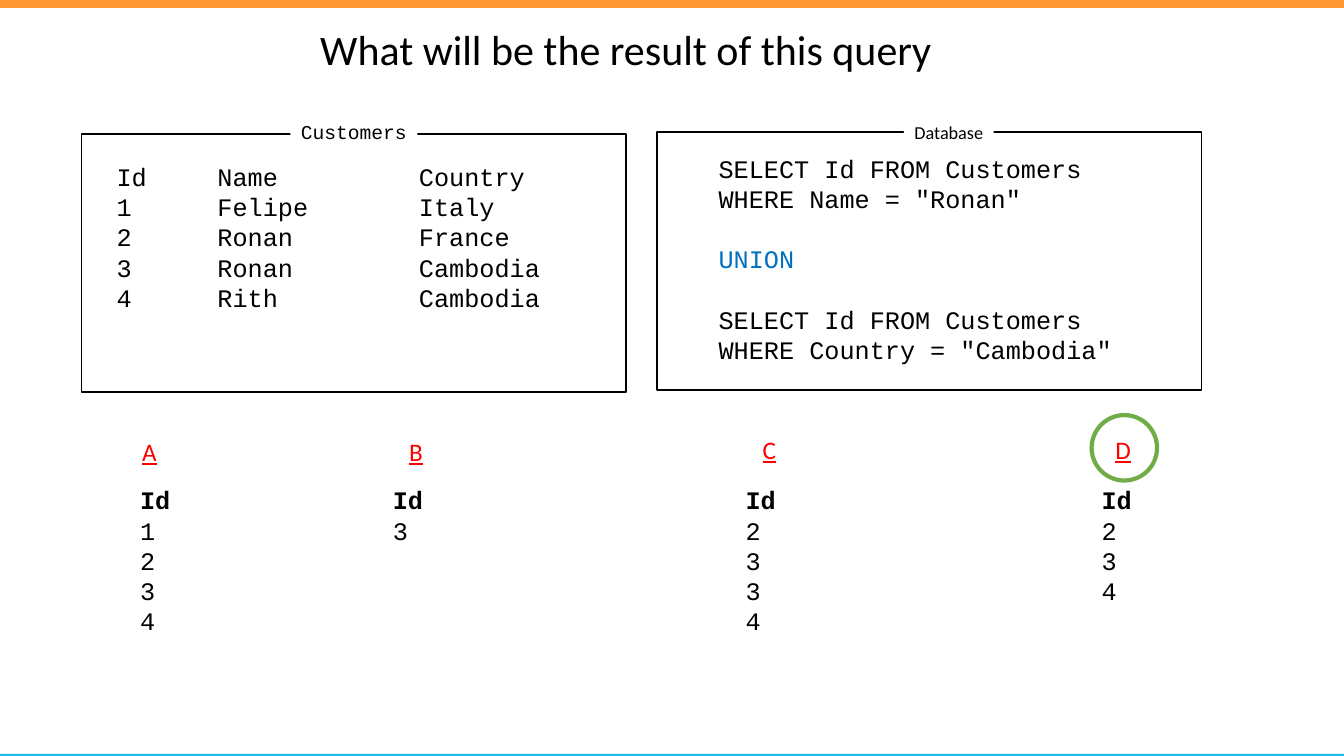
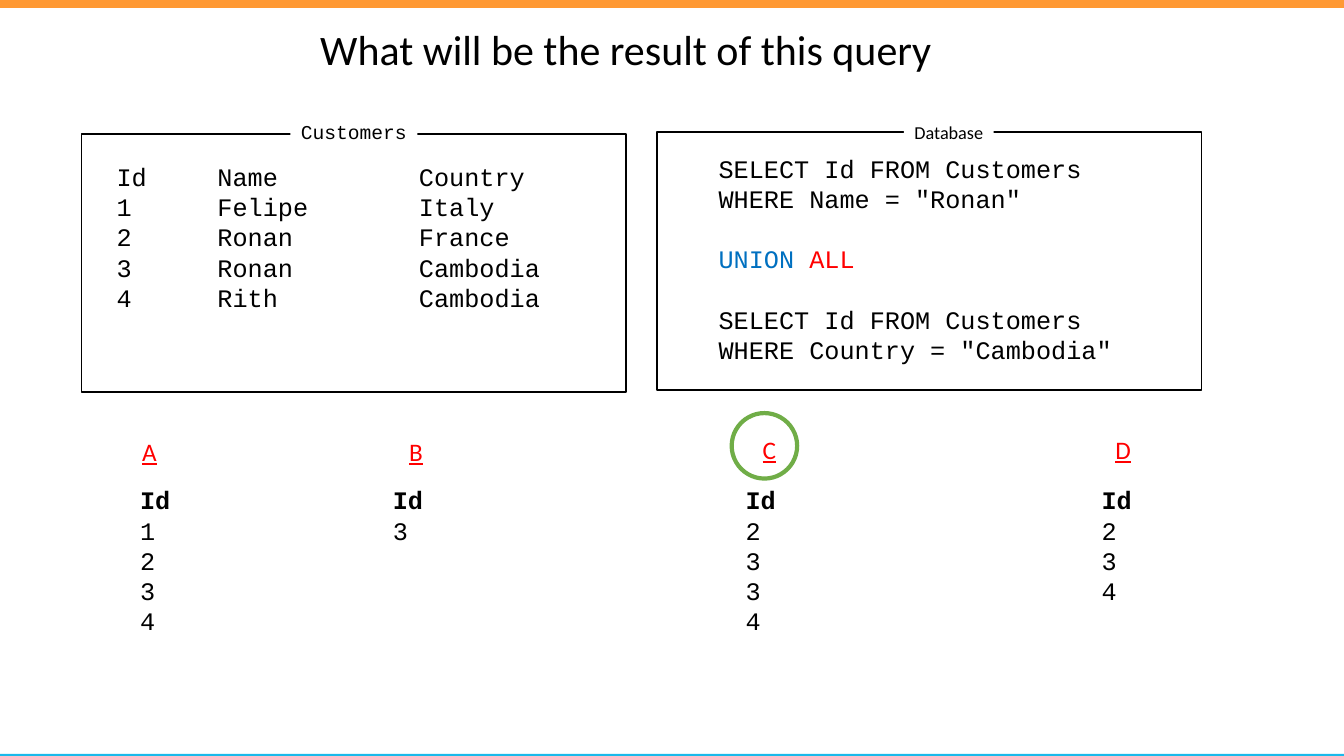
from lxml.etree import SubElement
from pptx import Presentation
from pptx.dml.color import RGBColor
from pptx.enum.shapes import MSO_SHAPE
from pptx.enum.text import PP_ALIGN
from pptx.oxml.ns import qn
from pptx.util import Cm, Pt

# Shared style
PAGE_WIDTH, PAGE_HEIGHT = 33.87, 19.05
BLACK, WHITE, RED, BLUE = "000000", "FFFFFF", "FF0000", "0070C0"
ORANGE, CYAN, GREEN = "FF9933", "1BB9EA", "70AD47"
SANS, MONO = "Calibri", "Courier New"
LINE_HEIGHT = 0.77
PANEL_SIZE = (13.72, 6.5)
RING_SIZE = 1.65

# Content
TITLE = "What will be the result of this query"
CUSTOMERS = [
    ("Id", "Name", "Country"),
    ("1", "Felipe", "Italy"),
    ("2", "Ronan", "France"),
    ("3", "Ronan", "Cambodia"),
    ("4", "Rith", "Cambodia"),
]
# Letter: list left, letter left, letter top, ids
ANSWERS = {
    "A": (3.28, 3.33, 10.87, "1234"),
    "B": (9.65, 10.06, 10.87, "3"),
    "C": (18.54, 18.97, 10.82, "2334"),
    "D": (27.51, 27.86, 10.82, "234"),
}
ANSWER_TOP = 12.09
# Set operator spans, ring position around the right answer
QUESTIONS = [
    ([("UNION", BLUE)], (27.51, 10.46)),
    ([("UNION ", BLUE), ("ALL", RED)], (18.44, 10.41)),
]


def color(code):
    return RGBColor.from_string(code)


def add_text(page, box, lines, size=18, font=MONO, ink=BLACK, underline=False,
             bold_first=False, spaced=None, tabs=(), fill=None,
             align=PP_ALIGN.LEFT, wrap=True):
    """Each line is a string or a list of (text, colour) spans."""
    shape = page.shapes.add_textbox(*map(Cm, box))
    if fill:
        shape.fill.solid()
        shape.fill.fore_color.rgb = color(fill)
    frame = shape.text_frame
    frame.word_wrap = wrap
    for index, line in enumerate(lines):
        para = frame.paragraphs[0] if index == 0 else frame.add_paragraph()
        para.alignment = align
        if index == spaced:
            para.space_before = para.space_after = Pt(21.6)
        if tabs:
            tab_list = SubElement(para._p.get_or_add_pPr(), qn("a:tabLst"))
            for stop in tabs:
                SubElement(tab_list, qn("a:tab"), pos=str(Cm(stop)), algn="l")
        for text, span_ink in [(line, ink)] if isinstance(line, str) else line:
            span = para.add_run()
            span.text = text
            span.font.size = Pt(size)
            span.font.name = font
            span.font.bold = bold_first and index == 0
            span.font.underline = underline
            span.font.color.rgb = color(span_ink)
    return shape


def add_figure(page, kind, box, fill=None, line=None, weight=1):
    shape = page.shapes.add_shape(kind, *map(Cm, box))
    shape.shadow.inherit = False
    if fill:
        shape.fill.solid()
        shape.fill.fore_color.rgb = color(fill)
    else:
        shape.fill.background()
    if line:
        shape.line.color.rgb = color(line)
        shape.line.width = Pt(weight)
    else:
        shape.line.fill.background()
    return shape


def add_frame(page):
    """Top and bottom bands with the title."""
    for top, height, fill in ((0, 0.2, ORANGE), (19, 0.05, CYAN)):
        add_figure(page, MSO_SHAPE.RECTANGLE, (0, top, PAGE_WIDTH, height), fill=fill)
    add_text(page, (7.82, 0.46, 16.43, 1.55), [TITLE], size=30, font=SANS)


def add_panel(page, box, caption, caption_box, **caption_format):
    """Outlined panel whose caption interrupts the top edge."""
    left, top = box[:2]
    across, down, width, height = caption_box
    add_figure(page, MSO_SHAPE.RECTANGLE, box, line=BLACK)
    add_text(page, (left + across, top + down, width, height), [caption],
             fill=WHITE, align=PP_ALIGN.CENTER, wrap=False, **caption_format)


def add_customers(page, left, top):
    add_panel(page, (left, top, *PANEL_SIZE), "Customers",
              (5.26, -0.48, 3.2, 0.86), size=14)
    add_text(page, (left + 0.63, top + 0.56, 12.9, 4.11),
             ["\t".join(row) for row in CUSTOMERS], tabs=(2.54, 7.62))


def add_query(page, left, top, operator):
    add_panel(page, (left, top, *PANEL_SIZE), "Database",
              (6.22, -0.41, 2.26, 0.81), size=13, font=SANS)
    select = "SELECT Id FROM Customers"
    lines = [select, 'WHERE Name = "Ronan"', operator,
             select, 'WHERE Country = "Cambodia"']
    add_text(page, (left + 1.3, top + 0.4, 11, 5.64), lines, spaced=2)


def add_answer(page, letter, list_left, letter_left, letter_top, ids):
    add_text(page, (letter_left, letter_top, 0.89, 1.02), [letter],
             font=SANS, ink=RED, underline=True, wrap=False)
    height = (len(ids) + 2) * LINE_HEIGHT + 0.25
    add_text(page, (list_left, ANSWER_TOP, 3.33, height), ["Id", *ids], bold_first=True)


def add_question(deck, operator, ring):
    page = deck.slides.add_slide(deck.slide_layouts[6])
    add_frame(page)
    add_customers(page, 2.06, 3.38)
    add_query(page, 16.56, 3.33, operator)
    for letter, answer in ANSWERS.items():
        add_answer(page, letter, *answer)
    add_figure(page, MSO_SHAPE.OVAL, (*ring, RING_SIZE, RING_SIZE), line=GREEN, weight=3)


def main():
    deck = Presentation()
    deck.slide_width, deck.slide_height = Cm(PAGE_WIDTH), Cm(PAGE_HEIGHT)
    for operator, ring in QUESTIONS:
        add_question(deck, operator, ring)
    deck.save("out.pptx")


if __name__ == "__main__":
    main()
